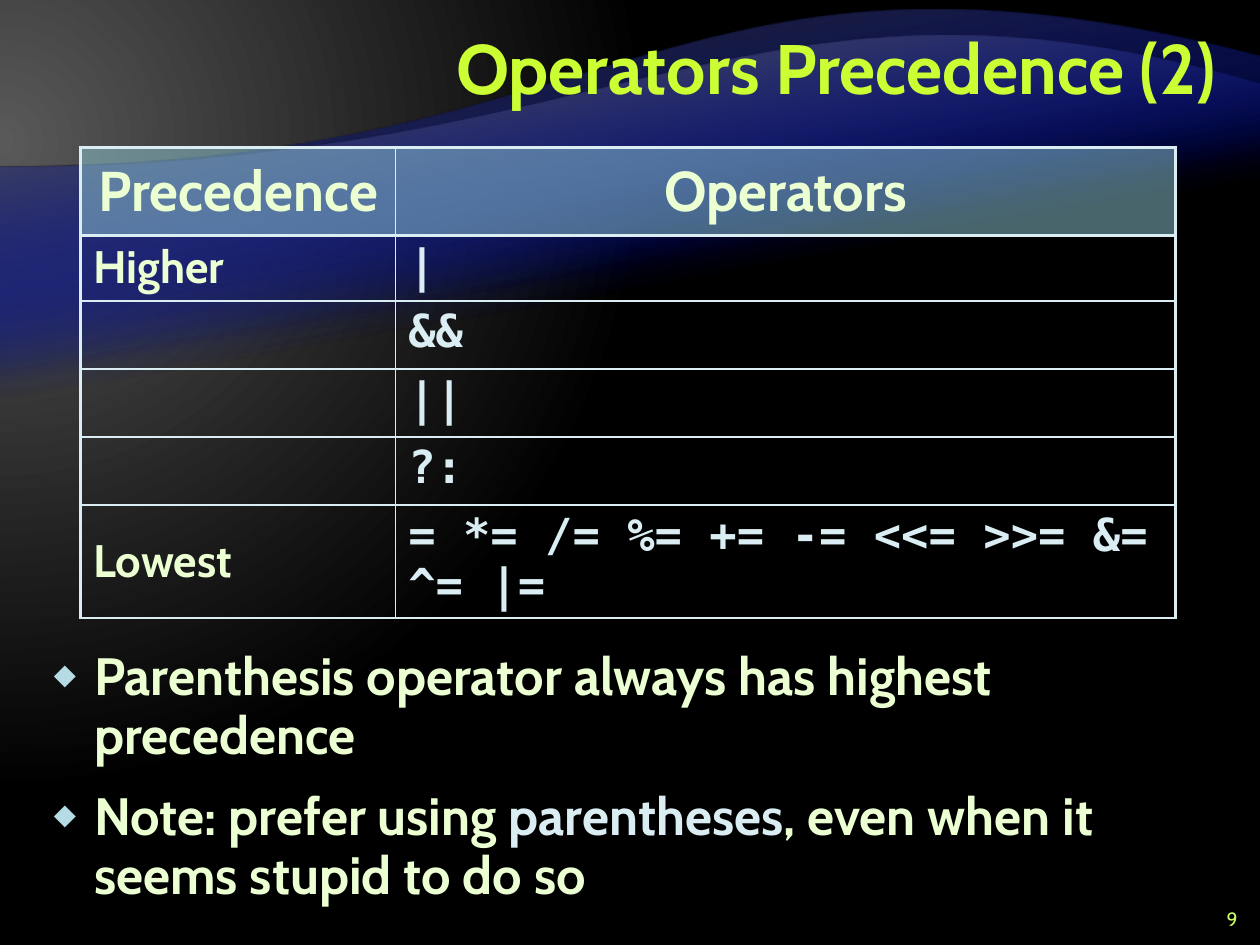
from dataclasses import dataclass
from lxml.etree import SubElement
from pptx import Presentation
from pptx.dml.color import RGBColor
from pptx.enum.text import MSO_ANCHOR, PP_ALIGN
from pptx.oxml import parse_xml
from pptx.oxml.ns import nsdecls, qn
from pptx.util import Inches, Pt


@dataclass(frozen=True)
class Theme:
    font: str = "Cabin"
    code_font: str = "DejaVu Sans Mono"
    lime: str = "CCFF33"
    number: str = "CCFF66"
    text: str = "EBFFD2"
    pale: str = "DAEDF2"
    header: str = "90CAD7"
    bullet: str = "B5DBE5"
    blue: str = "000D9E"
    gray: str = "595959"
    dark_gray: str = "262626"
    black: str = "000000"
    title_size: int = 40
    header_size: int = 32
    body_size: int = 30
    cell_size: int = 26
    number_size: int = 11
    thick: float = 2.25
    thin: float = 1


THEME = Theme()
ROWS = [
    ("Precedence", "Operators"),
    ("Higher", "|"),
    ("", "&&"),
    ("", "||"),
    ("", "?:"),
    ("Lowest", "= *= /= %= += -= <<= >>= &= ^= |="),
]
COLUMN_WIDTHS = [2.5, 6.19]
ROW_HEIGHTS = [0.7, 0.51, 0.54, 0.54, 0.54, 0.9]
NOTES = [
    [("Parenthesis operator always has highest precedence", THEME.text)],
    [
        ("Note: prefer using ", THEME.text),
        ("parentheses", THEME.pale),
        (", even when it seems stupid to do so", THEME.text),
    ],
]


def add_span(para, text, size, color, font=THEME.font, bold=True):
    span = para.add_run()
    span.text = text
    span.font.size = Pt(size)
    span.font.name = font
    span.font.bold = bold
    span.font.color.rgb = RGBColor.from_string(color)


def set_gradient(container, stops, direction):
    stop_xml = "".join(
        f'<a:gs pos="{position * 1000}"><a:srgbClr val="{color}">'
        f'<a:alpha val="{alpha * 1000}"/></a:srgbClr></a:gs>'
        for position, color, alpha in stops
    )
    gradient = parse_xml(
        f'<a:gradFill {nsdecls("a")} rotWithShape="1">'
        f"<a:gsLst>{stop_xml}</a:gsLst>{direction}</a:gradFill>"
    )
    container.replace(container.find(qn("a:solidFill")), gradient)


def set_background(page):
    page.background.fill.solid()
    page.background.fill.fore_color.rgb = RGBColor.from_string(THEME.black)
    direction = (
        '<a:path path="circle"><a:fillToRect l="20000" t="30000" '
        'r="135000" b="100000"/></a:path>'
    )
    stops = [(0, THEME.gray, 100), (83, THEME.black, 100)]
    set_gradient(page.element.find(".//" + qn("p:bgPr")), stops, direction)


def bend_last_side(wave, controls):
    line = wave.element.findall(".//" + qn("a:lnTo"))[-1]
    curve = parse_xml(f'<a:cubicBezTo {nsdecls("a")}/>')
    for x, y in controls:
        SubElement(curve, qn("a:pt"), x=str(Inches(x)), y=str(Inches(y)))
    curve.append(line[0])
    line.getparent().replace(line, curve)


def add_wave(page, bottom, start, controls, end, end_color):
    corners = [(10, bottom), (0, bottom), start, end]
    top = end[1]
    turned = [(Inches(10 - x), Inches(top + bottom - y)) for x, y in corners]
    builder = page.shapes.build_freeform(*turned[0])
    builder.add_line_segments(turned[1:], close=True)
    wave = builder.convert_to_shape()
    bend_last_side(wave, [(10 - x, bottom - y) for x, y in controls])
    wave.rotation = 180
    wave.shadow.inherit = False
    wave.line.fill.background()
    wave.fill.solid()
    stops = [(65, THEME.blue, 0), (100, end_color, 100)]
    set_gradient(wave.element.spPr, stops, '<a:lin ang="4800000" scaled="0"/>')


def add_title(page, text):
    title = page.shapes.title
    title.element.getparent().append(title.element)
    title.left, title.top = Inches(2), Inches(0.08)
    title.width, title.height = Inches(7.75), Inches(1)
    title.text_frame.vertical_anchor = MSO_ANCHOR.MIDDLE
    para = title.text_frame.paragraphs[0]
    para.alignment = PP_ALIGN.RIGHT
    para.line_spacing = Pt(40)
    add_span(para, text, THEME.title_size, THEME.lime)


def set_borders(cell, widths):
    properties = cell._tc.get_or_add_tcPr()
    for index, (side, width) in enumerate(zip("LRTB", widths)):
        border = parse_xml(
            f'<a:ln{side} {nsdecls("a")} w="{Pt(width)}"><a:solidFill>'
            f'<a:srgbClr val="{THEME.pale}"/></a:solidFill></a:ln{side}>'
        )
        properties.insert(index, border)


def fill_cell(cell, text, row, column):
    is_header, is_code = row == 0, row > 0 and column == 1
    if is_header:
        cell.fill.solid()
        cell.fill.fore_color.rgb = RGBColor.from_string(THEME.header)
        color = cell._tc.tcPr.find(".//" + qn("a:srgbClr"))
        SubElement(color, qn("a:alpha"), val="50000")
    else:
        cell.fill.background()
    outer = [column == 0, column == 1, row <= 1, row == 0]
    set_borders(cell, [THEME.thick if edge else THEME.thin for edge in outer])
    cell.vertical_anchor = MSO_ANCHOR.TOP if is_code else MSO_ANCHOR.MIDDLE
    if not text:
        return
    para = cell.text_frame.paragraphs[0]
    para.alignment = PP_ALIGN.CENTER if is_header else PP_ALIGN.LEFT
    para.line_spacing = 0.95
    space_before = SubElement(para._p.get_or_add_pPr(), qn("a:spcBef"))
    SubElement(space_before, qn("a:spcPct"), val="40000")
    add_span(
        para,
        text,
        THEME.header_size if is_header else THEME.cell_size,
        THEME.pale if is_code else THEME.text,
        THEME.code_font if is_code else THEME.font,
    )


def add_precedence_table(page):
    frame = page.shapes.add_table(
        len(ROWS), len(COLUMN_WIDTHS), Inches(0.64), Inches(1.17),
        Inches(sum(COLUMN_WIDTHS)), Inches(sum(ROW_HEIGHTS)),
    )
    table = frame.table
    table.first_row = table.horz_banding = False
    for column, width in zip(table.columns, COLUMN_WIDTHS):
        column.width = Inches(width)
    for row, height in zip(table.rows, ROW_HEIGHTS):
        row.height = Inches(height)
    for row, texts in enumerate(ROWS):
        for column, text in enumerate(texts):
            fill_cell(table.cell(row, column), text, row, column)


def add_text_box(page, left, top, width, height):
    box = page.shapes.add_textbox(Inches(left), Inches(top), Inches(width), Inches(height))
    box.text_frame.word_wrap = True
    return box.text_frame


def set_bullet(para):
    properties = para._p.get_or_add_pPr()
    properties.set("marL", str(Inches(0.32)))
    properties.set("indent", str(-Inches(0.32)))
    color = SubElement(properties, qn("a:buClr"))
    SubElement(color, qn("a:srgbClr"), val=THEME.bullet)
    SubElement(properties, qn("a:buSzPct"), val="70000")
    SubElement(properties, qn("a:buFont"), typeface=THEME.code_font)
    SubElement(properties, qn("a:buChar"), char="◆")


def add_notes(page):
    frame = add_text_box(page, 0.33, 5.08, 9.5, 2.25)
    for index, spans in enumerate(NOTES):
        para = frame.add_paragraph() if index else frame.paragraphs[0]
        para.line_spacing = Pt(34)
        para.space_before = para.space_after = Pt(6)
        set_bullet(para)
        for text, color in spans:
            add_span(para, text, THEME.body_size, color)


def add_page_number(page, text):
    frame = add_text_box(page, 9.42, 7.17, 0.5, 0.25)
    frame.vertical_anchor = MSO_ANCHOR.MIDDLE
    para = frame.paragraphs[0]
    para.alignment = PP_ALIGN.RIGHT
    add_span(para, text, THEME.number_size, THEME.number, bold=False)


def main():
    deck = Presentation()
    deck.slide_width, deck.slide_height = Inches(10), Inches(7.5)
    page = deck.slides.add_slide(deck.slide_layouts[5])
    set_background(page)
    for _ in range(2):
        add_wave(page, 6.53, (0, 1.33), [(5, 1.33), (5.34, -0.75)], (10, 0.45), THEME.dark_gray)
        add_wave(page, 5.57, (0, 1.33), [(5, 1.33), (5.98, -0.49)], (10, 0.67), THEME.gray)
    add_title(page, "Operators Precedence (2)")
    add_precedence_table(page)
    add_page_number(page, "9")
    add_notes(page)
    deck.save("out.pptx")


if __name__ == "__main__":
    main()
